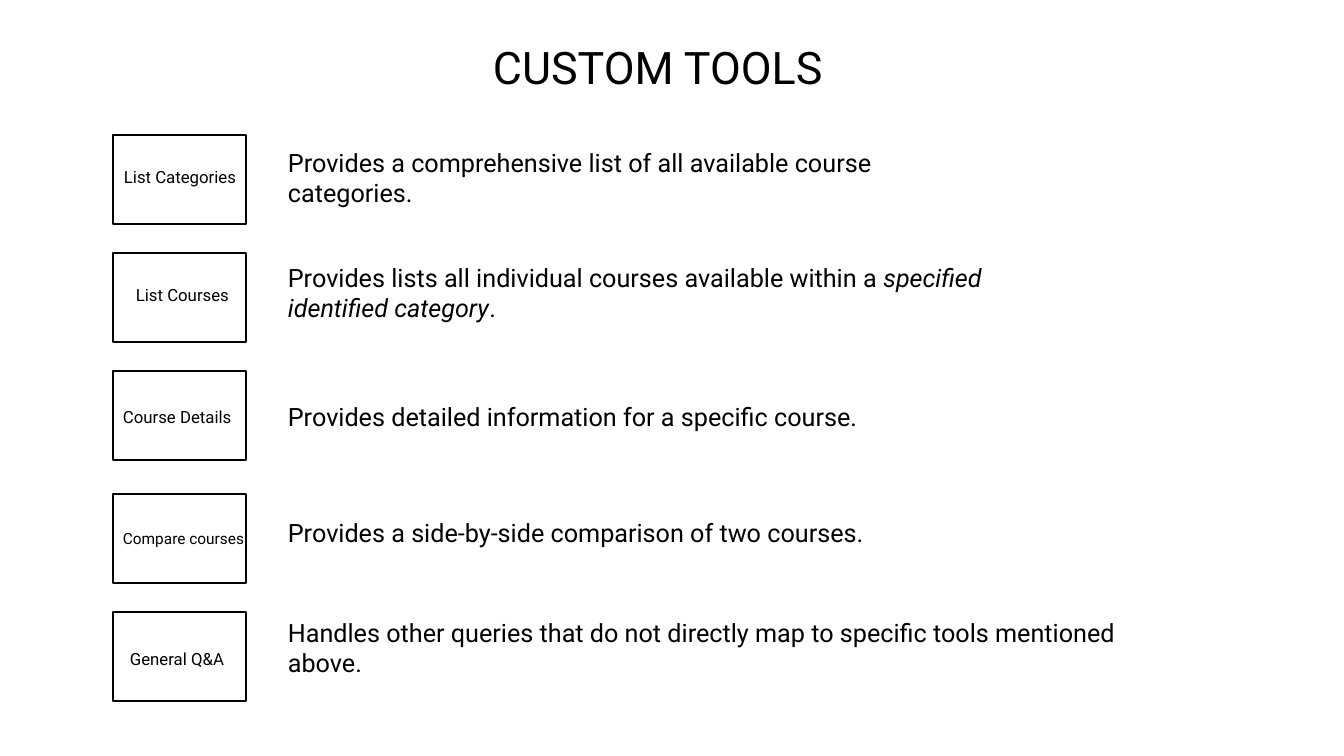
from pptx import Presentation
from pptx.dml.color import RGBColor
from pptx.enum import shapes, text
from pptx.util import Emu, Pt

BLACK = RGBColor(0, 0, 0)
WHITE = RGBColor(255, 255, 255)
FONT = "Roboto"
SLIDE_W, SLIDE_H = 1344, 756
SCALE = 12192000 / SLIDE_W

TITLE = "CUSTOM TOOLS"
TITLE_AREA = (483, 35, 437, 65)

# Per tool: name, name size, name area, description runs (text, italic),
# description top, width and height
TOOLS = [
    ("List Categories", 12, (114, 162, 176, 61),
     [("Provides a comprehensive list of all available course categories.", False)],
     (142, 672, 72)),
    ("List Courses", 12, (126, 280, 152, 61),
     [("Provides lists all individual courses available within a ", False),
      ("specified identified category", True),
      (".", False)],
     (257, 721, 72)),
    ("Course Details", 12, (113, 402, 133, 30),
     [("Provides detailed information for a specific course.", False)],
     (396, 709, 40)),
    ("Compare courses", 11, (113, 524, 152, 29),
     [("Provides a side-by-side comparison of two courses.", False)],
     (512, 891, 40)),
    ("General Q&A", 12, (120, 644, 121, 30),
     [("Handles other queries that do not directly map to specific tools mentioned above.", False)],
     (612, 891, 72)),
]

BOX_LEFT, BOX_TOP, BOX_W, BOX_H = 113, 135, 133, 89
ROW_PITCH = 118
LOWER_GROUP_START, LOWER_GROUP_SHIFT = 3, 5
DESCRIPTION_LEFT = 278


def px(*lengths):
    return [Emu(round(length * SCALE)) for length in lengths]


def add_text(slide, area, runs, size):
    """Add a wrapping text box holding one paragraph of (text, italic) runs."""
    frame = slide.shapes.add_textbox(*px(*area)).text_frame
    frame.word_wrap = True
    frame.auto_size = text.MSO_AUTO_SIZE.SHAPE_TO_FIT_TEXT
    for words, italic in runs:
        run = frame.paragraphs[0].add_run()
        run.text = words
        run.font.name = FONT
        run.font.size = Pt(size)
        run.font.italic = italic
        run.font.color.rgb = BLACK


def add_tool_box(slide, row):
    top = BOX_TOP + row * ROW_PITCH
    if row >= LOWER_GROUP_START:
        top += LOWER_GROUP_SHIFT
    box = slide.shapes.add_shape(
        shapes.MSO_SHAPE.RECTANGLE, *px(BOX_LEFT, top, BOX_W, BOX_H))
    box.shadow.inherit = False
    box.fill.solid()
    box.fill.fore_color.rgb = WHITE
    box.line.color.rgb = BLACK
    box.line.width = Pt(1.5)


def main():
    deck = Presentation()
    deck.slide_width, deck.slide_height = px(SLIDE_W, SLIDE_H)
    slide = deck.slides.add_slide(deck.slide_layouts[6])

    add_text(slide, TITLE_AREA, [(TITLE, False)], 32)
    for row, (name, name_size, name_area, description, place) in enumerate(TOOLS):
        add_tool_box(slide, row)
        add_text(slide, name_area, [(name, False)], name_size)
        add_text(slide, (DESCRIPTION_LEFT, *place), description, 18)

    deck.save("out.pptx")


if __name__ == "__main__":
    main()
